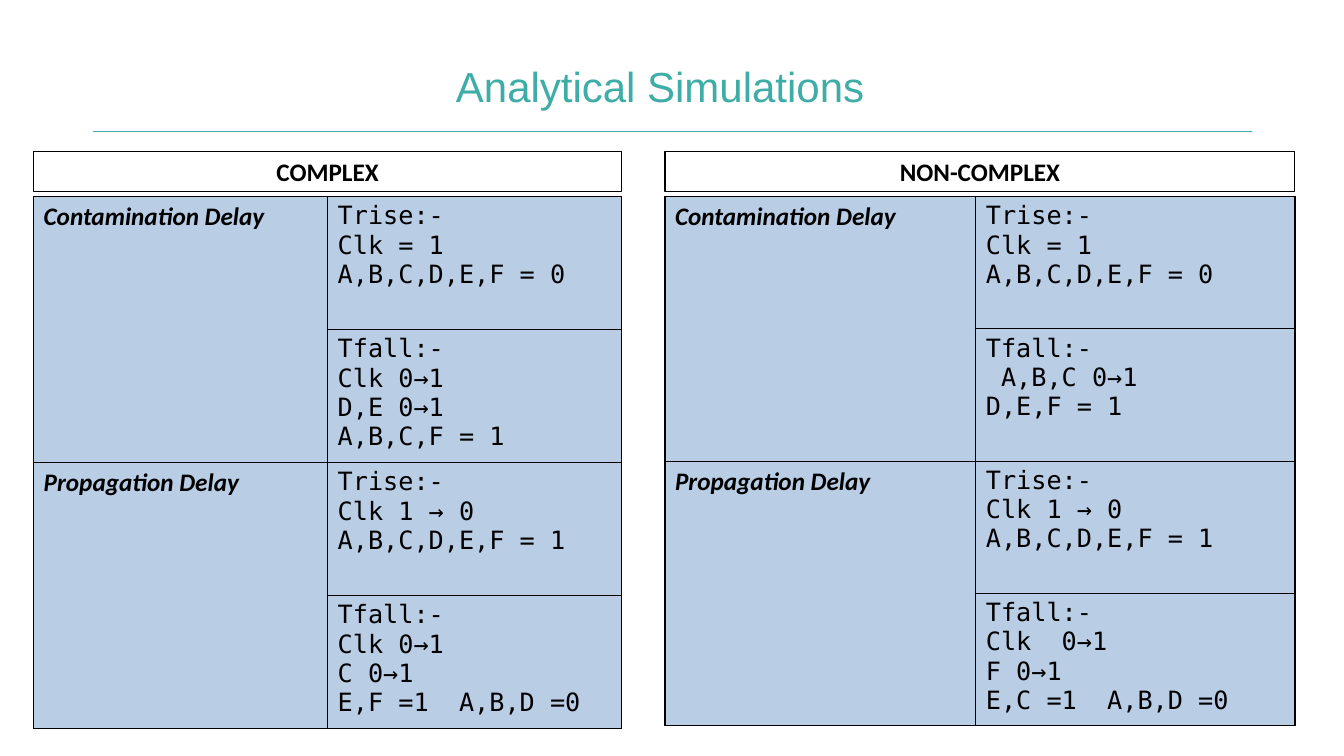
from lxml.etree import SubElement
from pptx import Presentation
from pptx.dml.color import RGBColor
from pptx.enum.shapes import MSO_CONNECTOR as CONN, MSO_SHAPE as SHAPE
from pptx.enum.text import MSO_ANCHOR as ANCHOR, MSO_AUTO_SIZE as AUTO, PP_ALIGN as ALIGN
from pptx.oxml.ns import qn
from pptx.util import Pt

COLORS = {"title": "3EADA7", "rule": "3DABA7", "ink": "000000", "cell": "B9CDE5"}
TITLE = {"name": "Arial", "size": Pt(30), "bold": False}
HEADING = {"name": "Calibri", "size": Pt(18), "bold": True}
LABEL = {**HEADING, "italic": True}
CODE = {"name": "DejaVu Sans Mono", "size": Pt(18), "bold": False, "italic": False}

COMPLEX = {
    "Contamination Delay": [
        ["Trise:-", "Clk = 1", "A,B,C,D,E,F = 0"],
        ["Tfall:-", "Clk 0→1", "D,E 0→1", "A,B,C,F = 1"],
    ],
    "Propagation Delay": [
        ["Trise:-", "Clk 1 → 0", "A,B,C,D,E,F = 1"],
        ["Tfall:-", "Clk 0→1", "C 0→1", "E,F =1  A,B,D =0"],
    ],
}
NON_COMPLEX = {
    "Contamination Delay": [
        ["Trise:-", "Clk = 1", "A,B,C,D,E,F = 0"],
        ["Tfall:-", " A,B,C 0→1", "D,E,F = 1"],
    ],
    "Propagation Delay": [
        ["Trise:-", "Clk 1 → 0", "A,B,C,D,E,F = 1"],
        ["Tfall:-", "Clk  0→1", "F 0→1", "E,C =1  A,B,D =0"],
    ],
}


def rgb(key):
    return RGBColor.from_string(COLORS[key])


def write(tf, lines, fmt, color="ink", align=ALIGN.LEFT):
    for i, line in enumerate(lines):
        p = tf.paragraphs[0] if i == 0 else tf.add_paragraph()
        p.alignment = align
        r = p.add_run()
        r.text = line
        for name, value in fmt.items():
            setattr(r.font, name, value)
        r.font.color.rgb = rgb(color)


def style_cell(cell):
    tc_pr = cell._tc.get_or_add_tcPr()
    for side in ("a:lnL", "a:lnR", "a:lnT", "a:lnB"):
        ln = SubElement(tc_pr, qn(side), w=str(Pt(1)))
        fill = SubElement(ln, qn("a:solidFill"))
        SubElement(fill, qn("a:srgbClr"), val=COLORS["ink"])
    cell.fill.solid()
    cell.fill.fore_color.rgb = rgb("cell")


def add_title(s, text, x, y, w, h):
    sp = s.shapes.title
    sp.left, sp.top, sp.width, sp.height = Pt(x), Pt(y), Pt(w), Pt(h)
    tf = sp.text_frame
    tf.auto_size = AUTO.NONE
    tf.vertical_anchor = ANCHOR.MIDDLE
    write(tf, [text], TITLE, "title", ALIGN.CENTER)

    rule_x, rule_y = x + 11.5, y + 54
    rule = s.shapes.add_connector(CONN.STRAIGHT, Pt(rule_x), Pt(rule_y), Pt(rule_x + 828), Pt(rule_y))
    rule.line.color.rgb = rgb("rule")
    rule.line.width = Pt(0.75)
    SubElement(rule._element.spPr, qn("a:effectLst"))


def add_heading(s, text, x, y, w, h):
    sp = s.shapes.add_shape(SHAPE.RECTANGLE, Pt(x), Pt(y), Pt(w), Pt(h))
    sp.shadow.inherit = False
    sp.fill.background()
    sp.line.color.rgb = rgb("ink")
    sp.line.width = Pt(0.75)
    sp.text_frame.vertical_anchor = ANCHOR.MIDDLE
    write(sp.text_frame, [text], HEADING, align=ALIGN.CENTER)


def add_delays(s, delays, x, y, cols, row_h):
    n = 2 * len(delays)
    frame = s.shapes.add_table(n, 2, Pt(x), Pt(y), Pt(sum(cols)), Pt(n * row_h))
    table = frame.table
    table.first_row = table.horz_banding = False
    for col, w in zip(table.columns, cols):
        col.width = Pt(w)
    for row in table.rows:
        row.height = Pt(row_h)
    for cell in table.iter_cells():
        style_cell(cell)
    for i, (label, cases) in enumerate(delays.items()):
        top = table.cell(2 * i, 0)
        top.merge(table.cell(2 * i + 1, 0))
        write(top.text_frame, [label], LABEL)
        for j, lines in enumerate(cases):
            write(table.cell(2 * i + j, 1).text_frame, lines, CODE)


def add_panel(s, heading, delays, x, y, cols, row_h):
    add_heading(s, heading, x, y, sum(cols), 28.8)
    add_delays(s, delays, x, y + 32.4, cols, row_h)


def main():
    prs = Presentation()
    prs.slide_width, prs.slide_height = Pt(960), Pt(540)
    s = prs.slides.add_slide(prs.slide_layouts[5])
    add_title(s, "Analytical Simulations", 54.7, 39.6, 833.8, 43.9)
    add_panel(s, "COMPLEX", COMPLEX, 24, 108, (210, 210), 95)
    add_panel(s, "NON-COMPLEX", NON_COMPLEX, 475, 108, (222, 228), 94.5)
    prs.save("out.pptx")


if __name__ == "__main__":
    main()
